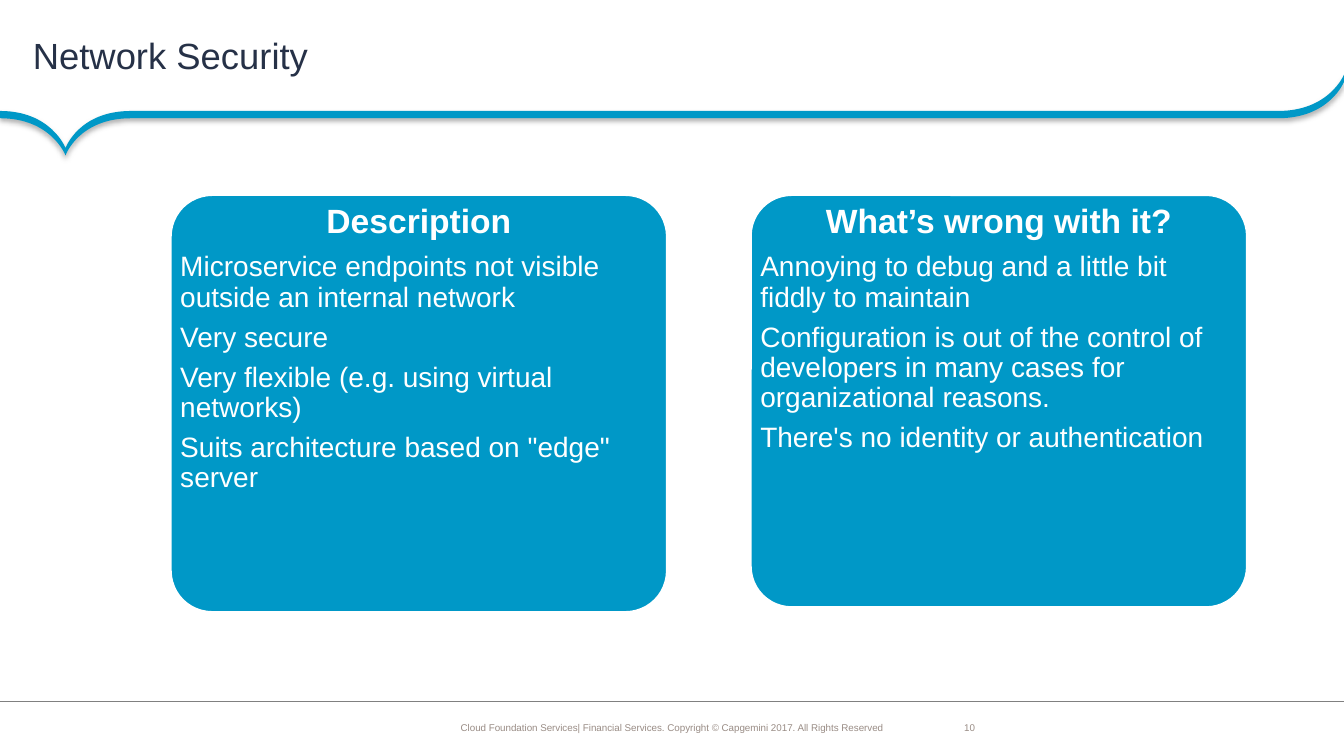
from lxml.etree import SubElement
from pptx import Presentation
from pptx.dml.color import RGBColor
from pptx.enum.shapes import MSO_CONNECTOR, MSO_SHAPE
from pptx.enum.text import MSO_ANCHOR, PP_ALIGN
from pptx.oxml.ns import qn
from pptx.util import Pt

COLORS = {"blue": "0098C7", "navy": "263147", "footer": "998C85",
          "rule": "808080", "white": "FFFFFF", "black": "000000"}
WIDTH, HEIGHT = 960, 540
CARD_TOP, CARD_WIDTH = 139, 355
CARDS = [
    (121.7, 298.5, "Description", [
        "Microservice endpoints not visible outside an internal network",
        "Very secure",
        "Very flexible (e.g. using virtual networks)",
        'Suits architecture based on "edge" server',
    ]),
    (536, 295, "What’s wrong with it?", [
        "Annoying to debug and a little bit fiddly to maintain",
        "Configuration is out of the control of developers in many cases "
        "for organizational reasons.",
        "There's no identity or authentication",
    ]),
]


def rgb(name):
    return RGBColor.from_string(COLORS[name])


def write(p, text, size=20, color="white", bold=False, align=PP_ALIGN.LEFT,
          spacing=None, after=None):
    p.alignment = align
    p.line_spacing = spacing
    if after:
        p.space_after = Pt(0)
        gap = p._p.pPr.find(qn("a:spcAft"))
        gap.remove(gap[0])
        SubElement(gap, qn("a:spcPct"), val=str(after * 1000))
    r = p.add_run()
    r.text = text
    r.font.name = "Arial"
    r.font.size = Pt(size)
    r.font.bold = bold
    r.font.color.rgb = rgb(color)


class Deck:
    def __init__(self):
        self.prs = Presentation()
        self.prs.slide_width = Pt(WIDTH)
        self.prs.slide_height = Pt(HEIGHT)
        self.slide = self.prs.slides.add_slide(self.prs.slide_layouts[6])
        self.shapes = self.slide.shapes

    def ribbon(self, y=79.3, thickness=5.2, peak=53.3, units=100):
        tip, end = (46.8, 105.8), (WIDTH, peak)
        edge = [(913, y), (93.6, y), tip, (0, y)]
        bends = {1: ((56.2, y), tip), 2: (tip, (36.7, y))}
        low = [(x, v + thickness) for x, v in edge[::-1]]
        low_end = (WIDTH, peak + thickness)
        low_tip = low[1]
        bends[4] = ((36.7, y + thickness), low_tip)
        bends[5] = (low_tip, (56.2, y + thickness))
        bends[7] = ((949.7, y + thickness), low_end)
        bends[9] = (end, (949.7, y))
        outline = edge + low + [low_end, end, edge[0]]

        def scaled(point):
            return tuple(round(v * units) for v in point)

        fb = self.shapes.build_freeform(*scaled(outline[0]), scale=Pt(1) / units)
        fb.add_line_segments([scaled(point) for point in outline[1:]], close=True)
        sp = fb.convert_to_shape()
        segments = list(sp._element.iter(qn("a:lnTo")))
        steps = {1: 1, 2: 2, 4: 4, 5: 5, 7: 7, 9: 9}
        for key, i in steps.items():
            segment = segments[i]
            segment.tag = qn("a:cubicBezTo")
            for n, (x, v) in enumerate(bends[key]):
                pt = SubElement(segment, qn("a:pt"), x=str(round(x * units)),
                                y=str(round((v - peak) * units)))
                segment.insert(n, pt)
        self.paint(sp, "blue")
        sp.line.fill.background()
        effects = sp._element.spPr.find(qn("a:effectLst"))
        shadow = SubElement(effects, qn("a:outerShdw"), blurRad=str(Pt(4)),
                            dist=str(Pt(2)), dir="5400000", rotWithShape="0")
        black = SubElement(shadow, qn("a:srgbClr"), val=COLORS["black"])
        SubElement(black, qn("a:alpha"), val="31000")

    def paint(self, sp, color):
        sp.fill.solid()
        sp.fill.fore_color.rgb = rgb(color)
        sp.shadow.inherit = False

    def rule(self, y):
        line = self.shapes.add_connector(MSO_CONNECTOR.STRAIGHT,
                                         Pt(WIDTH), Pt(y), Pt(0), Pt(y))
        line.line.color.rgb = rgb("rule")
        line.line.width = Pt(0.75)
        SubElement(line._element.spPr, qn("a:effectLst"))

    def text(self, x, y, w, h, insets=(0, 0, 0, 0), anchor=MSO_ANCHOR.MIDDLE,
             wrap=True):
        tf = self.shapes.add_textbox(Pt(x), Pt(y), Pt(w), Pt(h)).text_frame
        tf.margin_left, tf.margin_top, tf.margin_right, tf.margin_bottom = map(Pt, insets)
        tf.vertical_anchor = anchor
        tf.word_wrap = wrap
        return tf

    def footer(self, x, y, w, h, text):
        tf = self.text(x, y, w, h, wrap=False)
        write(tf.paragraphs[0], text, size=7, color="footer",
              align=PP_ALIGN.CENTER)

    def title(self, text):
        tf = self.text(0, 0, WIDTH, 79.2, insets=(23.5, 3, 13, 3))
        write(tf.paragraphs[0], text, size=26, color="navy")

    def card(self, x, h, heading, lines):
        sp = self.shapes.add_shape(MSO_SHAPE.ROUNDED_RECTANGLE, Pt(x),
                                   Pt(CARD_TOP), Pt(CARD_WIDTH), Pt(h))
        sp.adjustments[0] = 0.1
        self.paint(sp, "blue")
        sp.line.color.rgb = rgb("white")
        sp.line.width = Pt(2)
        tf = self.text(x, CARD_TOP, CARD_WIDTH, h, insets=(7.2,) * 4,
                       anchor=MSO_ANCHOR.TOP)
        write(tf.paragraphs[0], heading, size=24, bold=True,
              align=PP_ALIGN.CENTER, spacing=0.9, after=35)
        for line in lines:
            write(tf.add_paragraph(), line, spacing=0.9, after=35)


def main():
    deck = Deck()
    deck.ribbon()
    deck.rule(501)
    deck.footer(688.3, 515.5, 8.6, 8.6, "10")
    deck.footer(287.3, 509.8, 385.2, 19.4,
                "Cloud Foundation Services| Financial Services. "
                "Copyright © Capgemini 2017. All Rights Reserved")
    deck.title("Network Security")
    for card in CARDS:
        deck.card(*card)
    deck.prs.save("out.pptx")


if __name__ == "__main__":
    main()
